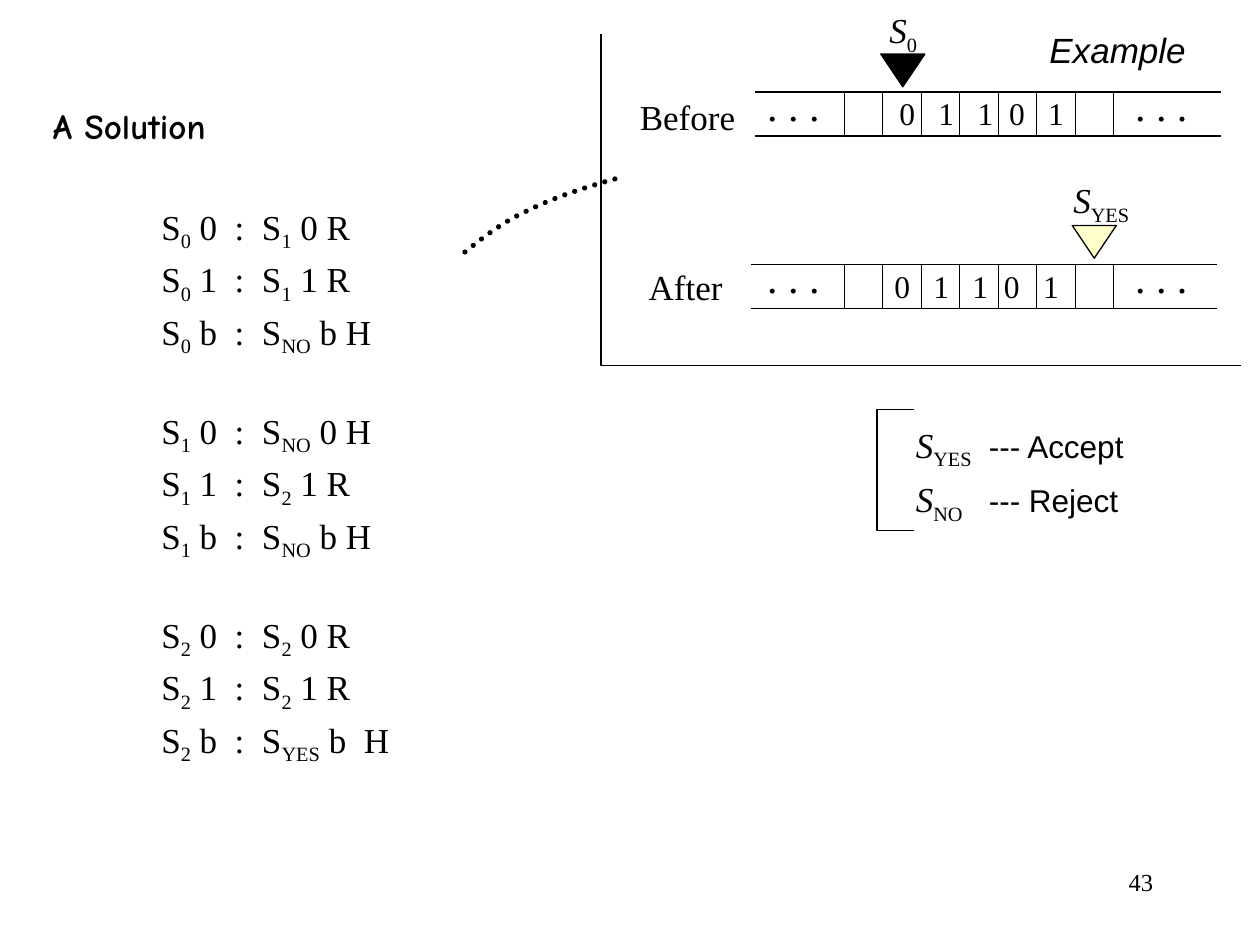
from lxml import etree
from pptx import Presentation
from pptx.dml.color import RGBColor
from pptx.enum.dml import MSO_LINE
from pptx.enum.shapes import MSO_CONNECTOR, MSO_SHAPE
from pptx.enum.text import MSO_ANCHOR, MSO_AUTO_SIZE, PP_ALIGN
from pptx.oxml.ns import qn
from pptx.util import Inches, Pt

BLACK = RGBColor(0x00, 0x00, 0x00)
CREAM = RGBColor(0xFF, 0xFF, 0xCC)
SERIF, SANS, COMIC = "Times New Roman", "Arial", "Comic Neue"
LEFT, RIGHT = PP_ALIGN.LEFT, PP_ALIGN.RIGHT
TOP, NO_FIT = MSO_ANCHOR.TOP, MSO_AUTO_SIZE.NONE
STRAIGHT, ROUND_DOT = MSO_CONNECTOR.STRAIGHT, MSO_LINE.ROUND_DOT
TRIANGLE, BRACKET = MSO_SHAPE.ISOSCELES_TRIANGLE, MSO_SHAPE.LEFT_BRACKET

RULE_GROUPS = [
    ["S[0] 0  :  S[1] 0 R", "S[0] 1  :  S[1] 1 R", "S[0] b  :  S[NO] b H"],
    ["S[1] 0  :  S[NO] 0 H", "S[1] 1  :  S[2] 1 R", "S[1] b  :  S[NO] b H"],
    ["S[2] 0  :  S[2] 0 R", "S[2] 1  :  S[2] 1 R", "S[2] b  :  S[YES] b  H"],
]


def write(p, text, font=SERIF, size=20, bold=False, italic=False):
    """Add text to a paragraph; parts in square brackets become subscripts."""
    for i, part in enumerate(text.replace("]", "[").split("[")):
        if not part:
            continue
        r = p.add_run()
        r.text = part
        f = r.font
        f.name, f.size, f.bold = font, Pt(size), bold
        f.italic = italic and i % 2 == 0
        f.color.rgb = BLACK
        if i % 2:
            f._element.set("baseline", "-25000")


def set_tabs(p, stops):
    """Give a paragraph left tab stops, in inches."""
    tabs = etree.SubElement(p._p.get_or_add_pPr(), qn("a:tabLst"))
    for stop in stops:
        etree.SubElement(tabs, qn("a:tab"), pos=str(Inches(stop)), algn="l")


def add_label(s, x, y, w, h, text, align=LEFT, wrap=False, **fmt):
    """Add a one-line text box and return its paragraph."""
    tf = s.shapes.add_textbox(Inches(x), Inches(y), Inches(w), Inches(h)).text_frame
    tf.word_wrap = wrap
    p = tf.paragraphs[0]
    p.alignment = align
    write(p, text, **fmt)
    return p


def add_line(s, x1, y1, x2, y2):
    """Add a thin black line."""
    sp = s.shapes.add_connector(STRAIGHT, Inches(x1), Inches(y1), Inches(x2), Inches(y2))
    sp.line.color.rgb = BLACK
    sp.line.width = Pt(0.75)
    etree.SubElement(sp._element.spPr, qn("a:effectLst"))


def style(sp, fill=None, width=0.75):
    """Set a shape's fill and black outline, without a shadow."""
    sp.shadow.inherit = False
    if fill is None:
        sp.fill.background()
    else:
        sp.fill.solid()
        sp.fill.fore_color.rgb = fill
    sp.line.color.rgb = BLACK
    sp.line.width = Pt(width)


def add_path(s, points, width=0.75):
    """Add an open outline through points given in inches."""
    pts = [(Inches(x), Inches(y)) for x, y in points]
    builder = s.shapes.build_freeform(*pts[0])
    builder.add_line_segments(pts[1:], close=False)
    sp = builder.convert_to_shape()
    style(sp, width=width)
    return sp


def bezier(a, b, c, d, steps=8):
    """Return points along a cubic curve."""
    ts = [i / steps for i in range(steps + 1)]
    return [tuple((1 - t) ** 3 * a[k] + 3 * (1 - t) ** 2 * t * b[k]
                  + 3 * (1 - t) * t ** 2 * c[k] + t ** 3 * d[k] for k in (0, 1))
            for t in ts]


def add_tape(s, x, y, digits_x):
    """Draw a tape with its cells, dots and digits from its top left corner."""
    height, first, last, cells = 0.35, 6.7, 8.84, 7
    for edge in (y, y + height):
        add_line(s, x, edge, x + 3.7, edge)
    for i in range(cells + 1):
        cell_x = first + i * (last - first) / cells
        add_line(s, cell_x, y, cell_x, y + height)
    for dots_x in (5.99, 8.91):
        add_label(s, dots_x, y - 0.15, 0.62, 0.5, ". . .", size=24)
    p = add_label(s, digits_x, y - 0.03, 1.8, 0.4, "0\t1\t1\t0\t1", wrap=True, size=18)
    set_tabs(p, [0.31, 0.62, 0.87, 1.18])


def add_head(s, x, y, fill):
    """Draw the head pointing down at the tape."""
    sp = s.shapes.add_shape(TRIANGLE, Inches(x), Inches(y), Inches(0.35), Inches(0.26))
    sp._element.spPr.xfrm.set("flipV", "1")
    style(sp, fill)


def add_example(s, x, y):
    """Draw the framed example with the tape before and after the run."""
    add_path(s, [(x, y), (x, y + 2.63), (x + 5.08, y + 2.63)])
    add_label(s, x + 3.46, y - 0.09, 1.28, 0.43, "Example", font=SANS, italic=True)
    add_label(s, x + 0.21, y + 0.44, 0.96, 0.43, "Before")
    add_label(s, x + 0.28, y + 1.79, 0.79, 0.43, "After")
    add_tape(s, x + 1.22, y + 0.46, x + 2.27)
    add_tape(s, x + 1.19, y + 1.83, x + 2.23)
    add_head(s, x + 2.22, y + 0.16, BLACK)
    add_head(s, x + 3.74, y + 1.52, CREAM)
    add_label(s, x + 2.19, y - 0.25, 0.43, 0.43, "S[0]", italic=True)
    add_label(s, x + 3.65, y + 1.1, 0.68, 0.43, "S[YES]", italic=True)


def add_legend(s, x, y):
    """Draw the bracketed meaning of the two final states."""
    sp = s.shapes.add_shape(BRACKET, Inches(x), Inches(y), Inches(0.29), Inches(0.96))
    sp.adjustments[0] = 0
    style(sp)
    tf = s.shapes.add_textbox(Inches(x + 0.21), Inches(y + 0.06),
                              Inches(1.9), Inches(0.83)).text_frame
    tf.word_wrap = False
    for i, (state, meaning) in enumerate([("YES", "Accept"), ("NO", "Reject")]):
        p = tf.add_paragraph() if i else tf.paragraphs[0]
        p.space_before = Pt(4 * i)
        write(p, f"S[{state}]", italic=True)
        write(p, f"\t--- {meaning}", font=SANS, size=18)
        set_tabs(p, [0.58])


def place(sp, x, y, w, h):
    """Move a placeholder and return its text frame, set from the top."""
    sp.left, sp.top, sp.width, sp.height = Inches(x), Inches(y), Inches(w), Inches(h)
    tf = sp.text_frame
    tf.word_wrap, tf.auto_size, tf.vertical_anchor = False, NO_FIT, TOP
    return tf


def fill_title(s, x, y):
    """Write the slide title."""
    p = place(s.shapes.title, x, y, 1.58, 0.43).paragraphs[0]
    p.alignment = LEFT
    write(p, "A Solution", font=COMIC, bold=True)


def fill_rules(s, x, y):
    """List the transition rules, with a gap between groups."""
    tf = place(s.placeholders[1], x, y, 2.2, 4.5)
    rules = [(rule, g > 0 and i == 0)
             for g, group in enumerate(RULE_GROUPS) for i, rule in enumerate(group)]
    for n, (rule, opens_group) in enumerate(rules):
        p = tf.add_paragraph() if n else tf.paragraphs[0]
        p.alignment, p.line_spacing = LEFT, 1.1
        p.space_before = Pt(26.5 if opens_group else 0)
        pPr = p._p.get_or_add_pPr()
        pPr.set("marL", str(Inches(0.5)))
        pPr.set("indent", str(-Inches(0.5)))
        etree.SubElement(pPr, qn("a:buNone"))
        write(p, rule)


def add_pointer(s, x, y):
    """Draw the dotted curve from the example to the rules."""
    upper = bezier((x, y), (x - 0.25, y + 0.07), (x - 0.49, y + 0.15), (x - 0.69, y + 0.25))
    lower = bezier(upper[-1], (x - 0.89, y + 0.34), (x - 1.04, y + 0.46), (x - 1.19, y + 0.58))
    sp = add_path(s, upper + lower[1:], width=3)
    sp.line.dash_style = ROUND_DOT
    sp.line._get_or_add_ln().set("cap", "rnd")


prs = Presentation()
prs.slide_width, prs.slide_height = Inches(10), Inches(7.5)
s = prs.slides.add_slide(prs.slide_layouts[1])
fill_title(s, 0.32, 0.78)
fill_rules(s, 1.18, 1.54)
add_example(s, 4.77, 0.27)
add_legend(s, 6.96, 3.25)
add_pointer(s, 4.88, 1.42)
add_label(s, 7.17, 6.83, 2.08, 0.5, "43", align=RIGHT, size=14)
prs.save("out.pptx")
